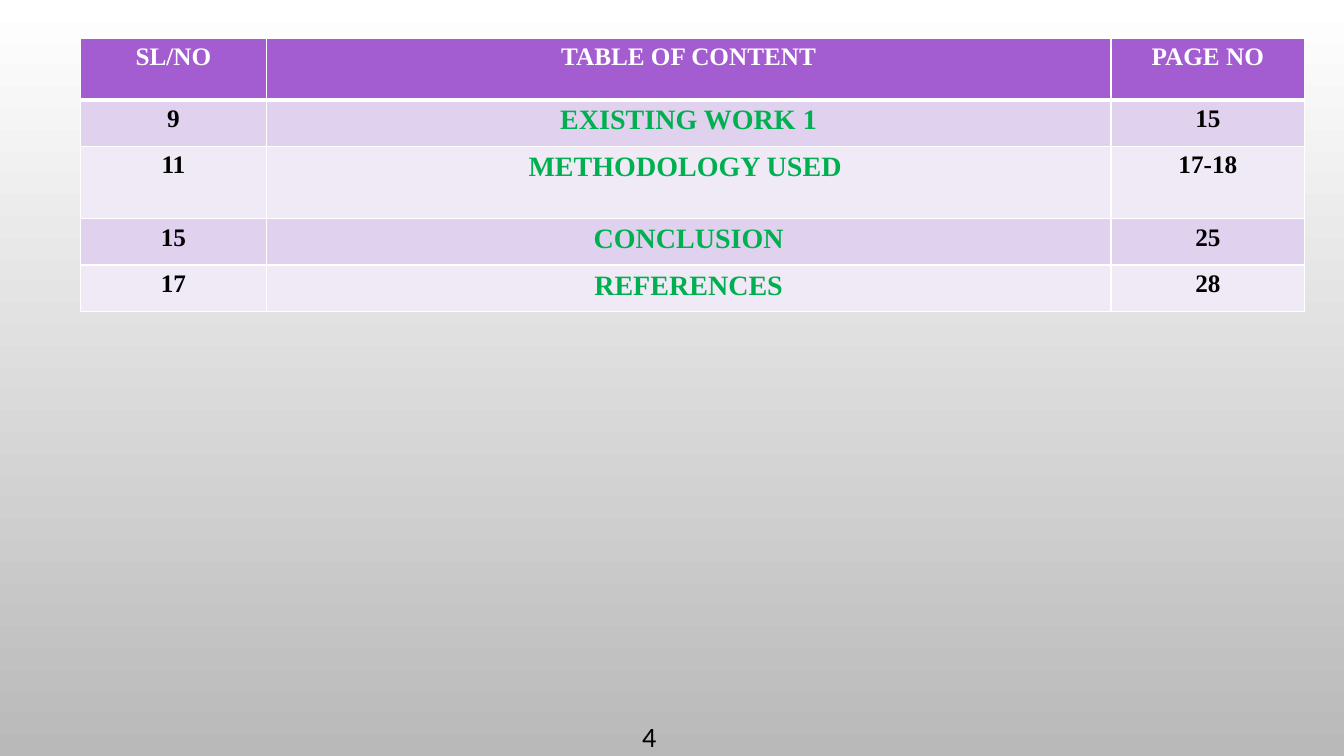
from dataclasses import dataclass

from lxml.etree import SubElement
from pptx import Presentation
from pptx.dml.color import RGBColor
from pptx.enum.text import MSO_ANCHOR, PP_ALIGN
from pptx.oxml.ns import qn
from pptx.util import Inches, Pt


@dataclass(frozen=True)
class Theme:
    """Colours, fonts and type sizes of the slide."""
    white: str = "FFFFFF"
    black: str = "000000"
    grey: str = "B9B9B9"
    header: str = "A35DD1"
    bands: tuple = ("E0D2EE", "F0EAF7")
    topic: str = "00B050"
    table_font: str = "Times New Roman"
    number_font: str = "Calibri"
    body: int = 18
    large: int = 20


THEME = Theme()
COLS = (1.84, 8.38, 1.92)
ROWS = (0.61, 0.46, 0.72, 0.46, 0.46)
CONTENTS = (
    ("SL/NO", "TABLE OF CONTENT", "PAGE NO"),
    ("9", "EXISTING WORK 1", "15"),
    ("11", "METHODOLOGY USED ", "17-18"),
    ("15", "CONCLUSION", "25"),
    ("17", "REFERENCES", "28"),
)


def write(tf, text, font, size, color, bold=False):
    """Put one centred line of text in a text frame."""
    p = tf.paragraphs[0]
    p.text = text
    p.alignment = PP_ALIGN.CENTER
    f = p.runs[0].font
    f.name, f.size, f.bold = font, Pt(size), bold
    f.color.rgb = RGBColor.from_string(color)


def set_borders(cell, top, bottom):
    """Draw white cell borders with the given top and bottom widths."""
    tcPr = cell._tc.get_or_add_tcPr()
    for side, width in (("L", 1), ("R", 1), ("T", top), ("B", bottom)):
        ln = SubElement(tcPr, qn(f"a:ln{side}"), w=str(Pt(width)))
        fill = SubElement(ln, qn("a:solidFill"))
        SubElement(fill, qn("a:srgbClr"), val=THEME.white)


def cell_style(row, col):
    """Return the fill, text colour and type size of a cell."""
    if row == 0:
        return THEME.header, THEME.white, THEME.body
    band = THEME.bands[(row - 1) % 2]
    if col == 1:
        return band, THEME.topic, THEME.large
    return band, THEME.black, THEME.body


def add_contents(s, x, y):
    """Add the contents table with its corner at x, y."""
    table = s.shapes.add_table(len(ROWS), len(COLS), Inches(x), Inches(y),
                               Inches(sum(COLS)), Inches(sum(ROWS))).table
    for column, width in zip(table.columns, COLS):
        column.width = Inches(width)
    for i, (row, height) in enumerate(zip(table.rows, ROWS)):
        row.height = Inches(height)
        for j, cell in enumerate(row.cells):
            fill, color, size = cell_style(i, j)
            set_borders(cell, 3 if i == 1 else 1, 3 if i == 0 else 1)
            cell.fill.solid()
            cell.fill.fore_color.rgb = RGBColor.from_string(fill)
            write(cell.text_frame, CONTENTS[i][j], THEME.table_font, size, color, True)


def add_page_number(s, number, x, y, w, h):
    """Add the page number centred in the given box."""
    tf = s.shapes.add_textbox(Inches(x), Inches(y), Inches(w), Inches(h)).text_frame
    tf.word_wrap = True
    tf.vertical_anchor = MSO_ANCHOR.MIDDLE
    write(tf, number, THEME.number_font, THEME.large, THEME.black)


def set_background(s):
    """Fill the slide with a gradient from white down to grey."""
    fill = s.background.fill
    fill.gradient()
    fill.gradient_angle = 270
    for stop, position, color in zip(fill.gradient_stops, (0, 1), (THEME.white, THEME.grey)):
        stop.position = position
        stop.color.rgb = RGBColor.from_string(color)


def main():
    """Build and save the slide."""
    prs = Presentation()
    prs.slide_width, prs.slide_height = Inches(13.33), Inches(7.5)
    s = prs.slides.add_slide(prs.slide_layouts[6])
    set_background(s)
    add_contents(s, 0.8, 0.38)
    add_page_number(s, "4", 6.02, 7.1, 0.84, 0.4)
    prs.save("out.pptx")


if __name__ == "__main__":
    main()
